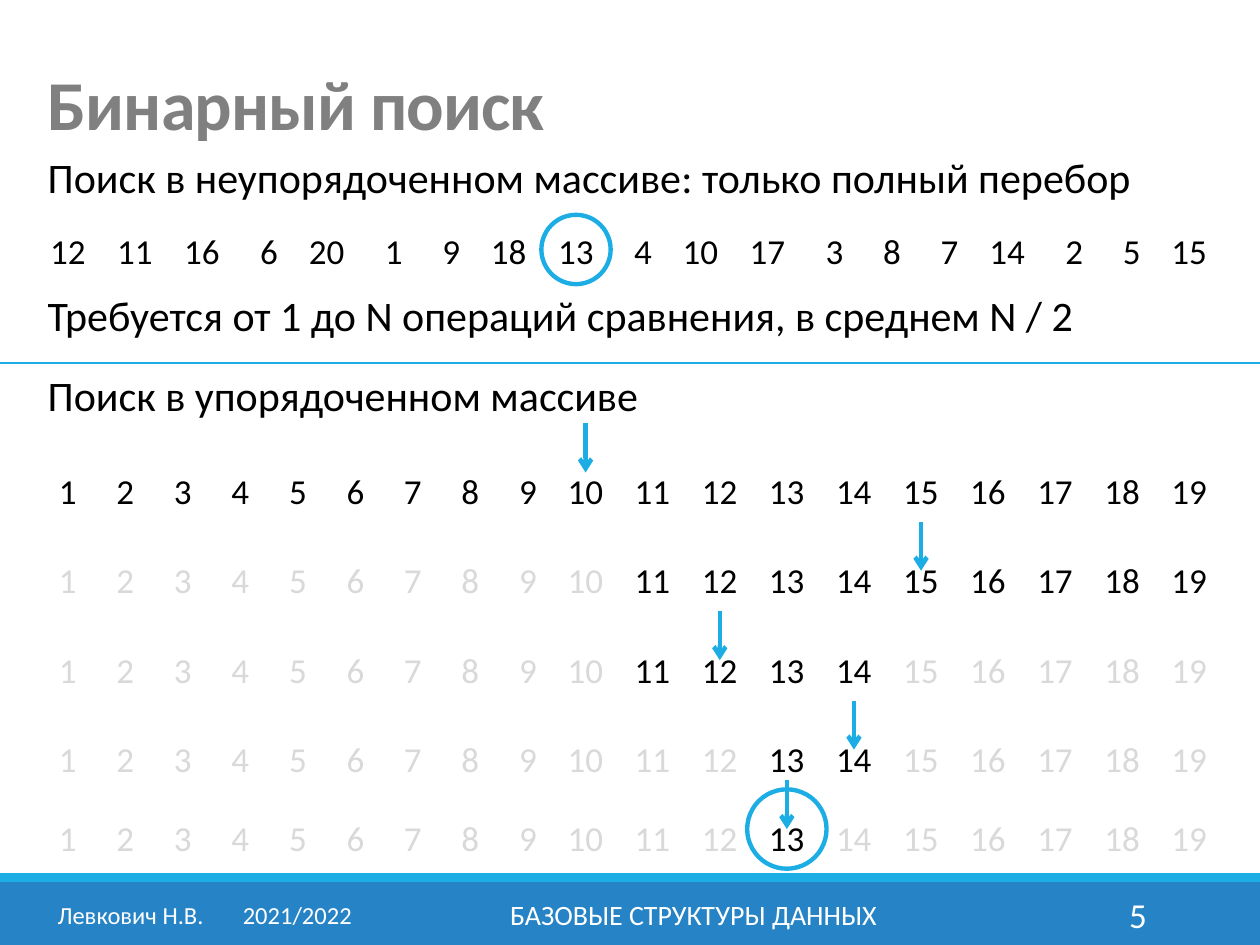
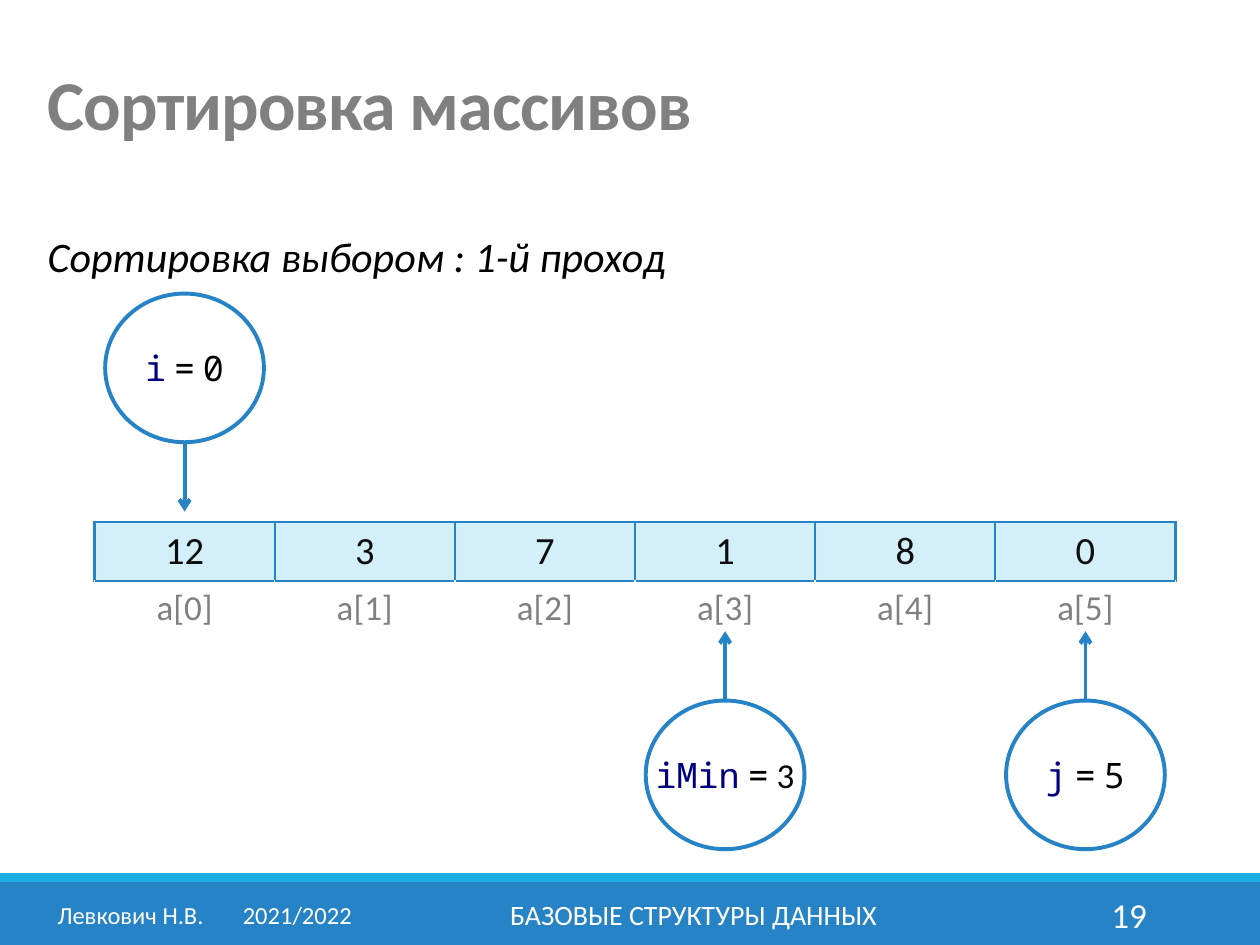
from dataclasses import dataclass
from itertools import accumulate, groupby

from pptx import Presentation
from pptx.dml.color import RGBColor
from pptx.enum.shapes import MSO_CONNECTOR, MSO_SHAPE
from pptx.enum.text import MSO_ANCHOR, MSO_AUTO_SIZE, PP_ALIGN
from pptx.oxml.ns import qn
from pptx.util import Inches, Pt
from lxml import etree

LEFT, CENTER, RIGHT = PP_ALIGN.LEFT, PP_ALIGN.CENTER, PP_ALIGN.RIGHT
TOP, MIDDLE = MSO_ANCHOR.TOP, MSO_ANCHOR.MIDDLE
OVAL, RECTANGLE = MSO_SHAPE.OVAL, MSO_SHAPE.RECTANGLE
STRAIGHT = MSO_CONNECTOR.STRAIGHT
NO_AUTOFIT = MSO_AUTO_SIZE.NONE
TITLE_ONLY = 5


@dataclass(frozen=True)
class Theme:
    body: str = "Calibri"
    mono: str = "Noto Sans Mono"
    blue: str = "2683C6"
    cyan: str = "1CADE4"
    pale: str = "D2EFFA"
    white: str = "FFFFFF"
    black: str = "000000"
    ink: str = "0D0D0D"
    gray: str = "808080"
    faded: str = "D9D9D9"
    navy: str = "000080"
    title_size: int = 40
    text_size: int = 24
    value_size: int = 22
    number_size: int = 20
    course_size: int = 16
    author_size: int = 14


THEME = Theme()
WIDTH, HEIGHT = 10, 7.5
MARGIN, CONTENT_WIDTH = 0.28, 9.45
INSET = 0.1
BAND_TOP, STRIPE_HEIGHT = 7, 0.07

AUTHOR = "Левкович Н.В.\t2021/2022"
COURSE = "БАЗОВЫЕ СТРУКТУРЫ ДАННЫХ"

SEARCH_TITLE = "Бинарный поиск"
SEARCH_TEXTS = [
    ("Поиск в неупорядоченном массиве", MARGIN, 1.15, 5.28),
    (": только полный перебор", 5.31, 1.15, 3.86),
    ("Требуется от 1 до N операций сравнения, в среднем N / 2", MARGIN, 2.25, 9.21),
    ("Поиск в упорядоченном массиве", MARGIN, 2.88, 7.09),
]
UNSORTED = [12, 11, 16, 6, 20, 1, 9, 18, 13, 4, 10, 17, 3, 8, 7, 14, 2, 5, 15]
SORTED = list(range(1, 20))
TARGET = 13
UNSORTED_TOP = 1.77
SEARCH_STEPS = [
    (3.67, 1, 19, 10, 0.31),
    (4.38, 11, 19, 15, 0.24),
    (5.09, 11, 14, 12, 0.24),
    (5.8, 13, 14, 14, 0.24),
    (6.43, 13, 13, 13, 0.24),
]
DIVIDER_TOP = 2.88
FIRST_CENTER, LAST_CENTER = 0.54, 9.44
DIGIT_WEIGHT = {1: 6, 2: 7}
NUMBER_HEIGHT = 0.44
ARROW_LENGTH = 0.39

SORT_TITLE = "Сортировка массивов"
SORT_SUBTITLE = "Сортировка выбором : 1-й проход"
VALUES = [12, 3, 7, 1, 8, 0]
TABLE_LEFT, TABLE_TOP, COLUMN_WIDTH = 0.75, 4.14, 1.43
ROW_HEIGHTS = [0.47, 0.43]
MARKERS = [
    ("i", "0", THEME.mono, 0, 2.33, 4.06),
    ("iMin", "3", THEME.body, 3, 5.56, 5.01),
    ("j", "5", THEME.mono, 5, 5.56, 5.01),
]
MARKER_WIDTH, MARKER_HEIGHT = 1.26, 1.18


def color(value):
    return RGBColor.from_string(value)


def style(span, size, ink, font=THEME.body, bold=False, italic=False):
    span.font.name = font
    span.font.size = Pt(size)
    span.font.color.rgb = color(ink)
    span.font.bold = bold
    span.font.italic = italic


def add_text(page, text, place, size, ink, align=LEFT, anchor=TOP, italic=False):
    box = page.shapes.add_textbox(*map(Inches, place))
    frame = box.text_frame
    frame.word_wrap = True
    frame.vertical_anchor = anchor
    frame.text = text
    para = frame.paragraphs[0]
    para.alignment = align
    for span in para.runs:
        style(span, size, ink, italic=italic)
    return para


def add_tabs(para, positions, kind):
    tabs = etree.SubElement(para._p.get_or_add_pPr(), qn("a:tabLst"))
    for position in positions:
        etree.SubElement(tabs, qn("a:tab"), pos=str(Inches(position)), algn=kind)


def add_plain_shape(page, kind, place, fill=None, line=None, weight=0):
    shape = page.shapes.add_shape(kind, *map(Inches, place))
    shape.shadow.inherit = False
    if fill:
        shape.fill.solid()
        shape.fill.fore_color.rgb = color(fill)
    else:
        shape.fill.background()
    if line:
        shape.line.color.rgb = color(line)
        shape.line.width = Pt(weight)
    else:
        shape.line.fill.background()
    return shape


def add_line(page, start, end, ink, weight, arrow=False):
    line = page.shapes.add_connector(STRAIGHT, *map(Inches, (*start, *end)))
    line.line.color.rgb = color(ink)
    line.line.width = Pt(weight)
    properties = line._element.spPr
    if arrow:
        etree.SubElement(properties.find(qn("a:ln")), qn("a:tailEnd"), type="arrow")
    etree.SubElement(properties, qn("a:effectLst"))
    return line


def add_page(deck, title, number):
    page = deck.slides.add_slide(deck.slide_layouts[TITLE_ONLY])
    add_plain_shape(page, RECTANGLE, (0, BAND_TOP, WIDTH, HEIGHT - BAND_TOP), THEME.blue)
    add_plain_shape(
        page, RECTANGLE, (0, BAND_TOP - STRIPE_HEIGHT, WIDTH, STRIPE_HEIGHT), THEME.cyan
    )
    footers = [
        (AUTHOR, 0.32, 2.61, THEME.author_size, CENTER),
        (COURSE, 3.02, 4.97, THEME.course_size, CENTER),
        (str(number), 8.12, 1.08, THEME.number_size, RIGHT),
    ]
    for text, left, width, size, align in footers:
        para = add_text(
            page, text, (left, 7.06, width, 0.4), size, THEME.white, align, MIDDLE
        )
        if "\t" in text:
            add_tabs(para, [1.47], "l")

    heading = page.shapes.title
    heading.left, heading.top = Inches(MARGIN), Inches(0.29)
    heading.width, heading.height = Inches(CONTENT_WIDTH), Inches(1.15)
    frame = heading.text_frame
    frame.text = title
    frame.auto_size = NO_AUTOFIT
    frame.vertical_anchor = MIDDLE
    para = frame.paragraphs[0]
    para.alignment = LEFT
    para.line_spacing = 0.85
    span = para.runs[0]
    style(span, THEME.title_size, THEME.gray, bold=True)
    span.font._element.set("spc", "-50")
    return page


def number_centers(numbers):
    weights = [DIGIT_WEIGHT[len(str(number))] for number in numbers[:-1]]
    unit = (LAST_CENTER - FIRST_CENTER) / sum(weights)
    offsets = accumulate(weights, initial=0)
    return {
        number: FIRST_CENTER + unit * offset
        for number, offset in zip(numbers, offsets)
    }


def add_numbers(page, numbers, top, live):
    place = (MARGIN, top, CONTENT_WIDTH, NUMBER_HEIGHT)
    para = add_text(page, "", place, THEME.number_size, THEME.black, anchor=MIDDLE)
    centers = number_centers(numbers)
    add_tabs(para, [center - MARGIN - INSET for center in centers.values()], "ctr")
    for is_live, members in groupby(numbers, key=lambda number: number in live):
        span = para.add_run()
        span.text = "".join(f"\t{number}" for number in members)
        style(span, THEME.number_size, THEME.black if is_live else THEME.faded)
    return centers


def add_ring(page, center, middle, size):
    place = (center - size / 2, middle - size / 2, size, size)
    add_plain_shape(page, OVAL, place, line=THEME.cyan, weight=2.5)


def build_search(deck):
    page = add_page(deck, SEARCH_TITLE, 5)
    for text, left, top, width in SEARCH_TEXTS:
        add_text(page, text, (left, top, width, 0.5), THEME.text_size, THEME.black)
    add_line(page, (0, DIVIDER_TOP), (WIDTH, DIVIDER_TOP), THEME.cyan, 1.5)

    centers = add_numbers(page, UNSORTED, UNSORTED_TOP, UNSORTED)
    add_ring(page, centers[TARGET], 1.98, 0.55)
    for top, first, last, probe, rise in SEARCH_STEPS:
        centers = add_numbers(page, SORTED, top, range(first, last + 1))
        start = (centers[probe], top - rise)
        end = (centers[probe], top - rise + ARROW_LENGTH)
        add_line(page, start, end, THEME.cyan, 2.5, arrow=True)
    add_ring(page, centers[TARGET], 6.58, 0.63)


def set_borders(cell, borders):
    properties = cell._tc.get_or_add_tcPr()
    for side, (ink, weight) in zip("LRTB", borders):
        line = etree.SubElement(properties, qn(f"a:ln{side}"), w=str(Pt(weight)))
        fill = etree.SubElement(line, qn("a:solidFill"))
        etree.SubElement(fill, qn("a:srgbClr"), val=ink)


def add_array(page):
    strong, hidden = (THEME.blue, 1.5), (THEME.white, 1)
    rows = [
        (VALUES, THEME.value_size, THEME.ink, THEME.pale, [strong] * 4, TOP),
        (
            [f"a[{index}]" for index in range(len(VALUES))],
            THEME.number_size, THEME.gray, THEME.white,
            [hidden, hidden, strong, hidden], MIDDLE,
        ),
    ]
    place = (TABLE_LEFT, TABLE_TOP, COLUMN_WIDTH * len(VALUES), sum(ROW_HEIGHTS))
    table = page.shapes.add_table(len(rows), len(VALUES), *map(Inches, place)).table
    table.first_row = table.horz_banding = False
    for column in table.columns:
        column.width = Inches(COLUMN_WIDTH)
    for row, (texts, size, ink, fill, borders, anchor) in enumerate(rows):
        table.rows[row].height = Inches(ROW_HEIGHTS[row])
        for column, text in enumerate(texts):
            cell = table.cell(row, column)
            set_borders(cell, borders)
            cell.fill.solid()
            cell.fill.fore_color.rgb = color(fill)
            cell.vertical_anchor = anchor
            cell.text = str(text)
            para = cell.text_frame.paragraphs[0]
            para.alignment = CENTER
            style(para.runs[0], size, ink)


def add_marker(page, name, value, value_font, column, top, tip):
    center = TABLE_LEFT + COLUMN_WIDTH * (column + 0.5)
    place = (center - MARKER_WIDTH / 2, top, MARKER_WIDTH, MARKER_HEIGHT)
    circle = add_plain_shape(page, OVAL, place, line=THEME.blue, weight=2.25)
    frame = circle.text_frame
    frame.word_wrap = False
    frame.vertical_anchor = MIDDLE
    frame.margin_left = frame.margin_right = frame.margin_top = frame.margin_bottom = 0
    para = frame.paragraphs[0]
    para.alignment = CENTER
    spans = [
        (name, THEME.mono, THEME.navy),
        (" ", THEME.body, THEME.black),
        ("=", THEME.mono, THEME.black),
        (" ", THEME.body, THEME.black),
        (value, value_font, THEME.black),
    ]
    for text, font, ink in spans:
        span = para.add_run()
        span.text = text
        style(span, THEME.number_size, ink, font)

    points_up = tip < top
    start = (center, top if points_up else top + MARKER_HEIGHT)
    arrow = add_line(page, start, (center, tip), THEME.blue, 2.25, arrow=True)
    if points_up:
        arrow.begin_connect(circle, 0)


def build_sort(deck):
    page = add_page(deck, SORT_TITLE, 19)
    place = (MARGIN, 1.78, 9.21, 0.5)
    add_text(page, SORT_SUBTITLE, place, THEME.text_size, THEME.black, italic=True)
    add_array(page)
    for marker in MARKERS:
        add_marker(page, *marker)


def main():
    deck = Presentation()
    deck.slide_width, deck.slide_height = Inches(WIDTH), Inches(HEIGHT)
    build_search(deck)
    build_sort(deck)
    deck.save("out.pptx")


if __name__ == "__main__":
    main()
